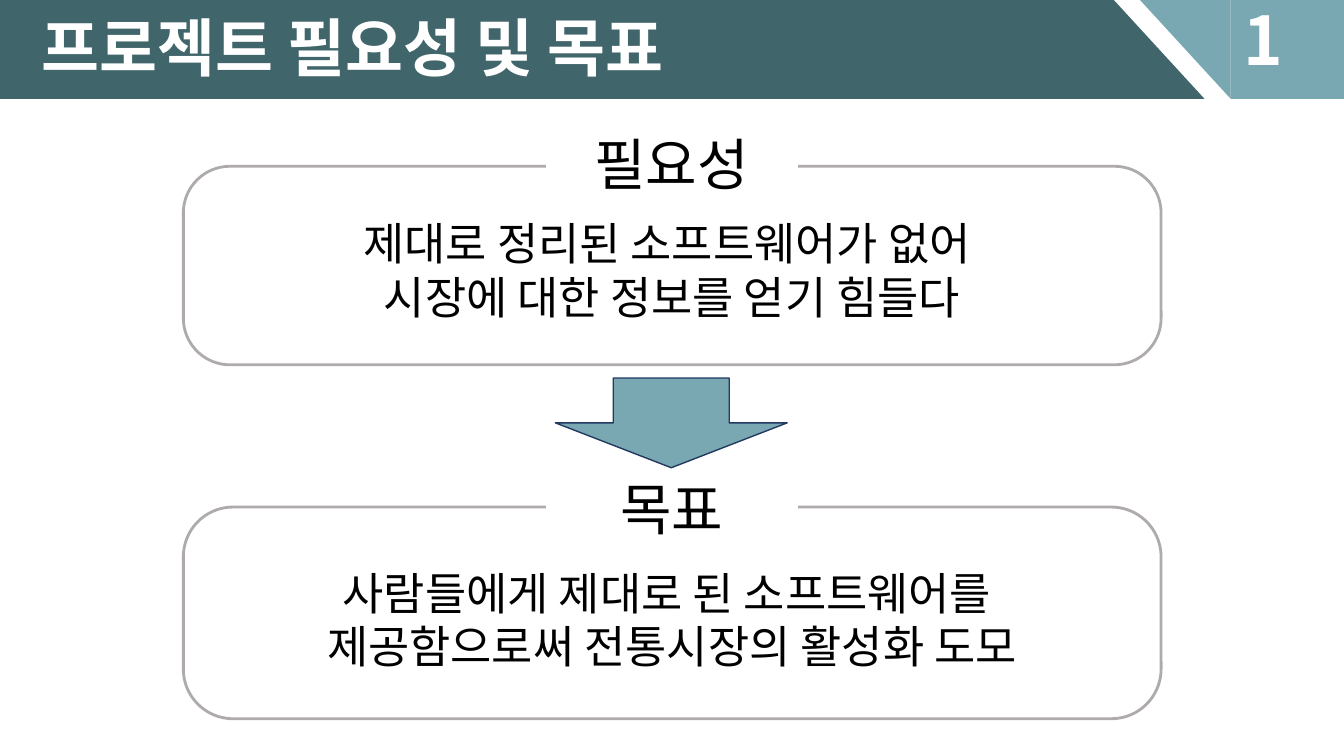
from dataclasses import dataclass

from lxml.etree import SubElement
from pptx import Presentation
from pptx.dml.color import RGBColor
from pptx.enum.shapes import MSO_SHAPE
from pptx.enum.text import MSO_ANCHOR, MSO_AUTO_SIZE, PP_ALIGN
from pptx.oxml.ns import qn
from pptx.shapes.autoshape import Shape
from pptx.slide import Slide
from pptx.util import Pt

FONT = "Noto Sans CJK KR"
DARK_TEAL = "40656B"
LIGHT_TEAL = "79A8B2"
WHITE = "FFFFFF"
BLACK = "000000"
HEADER_HEIGHT = 70.6
SLANT_WIDTH = 64.8


@dataclass(frozen=True)
class Area:
    left: float
    top: float
    width: float
    height: float


@dataclass(frozen=True)
class Figure:
    kind: MSO_SHAPE
    area: Area
    fill: str = ""
    line: str = ""
    line_width: float = 1
    adjustments: tuple[float, ...] = ()
    rotation: float = 0


@dataclass(frozen=True)
class Label:
    text: str
    size: float
    color: str = BLACK
    bold: bool = False
    align: PP_ALIGN = PP_ALIGN.CENTER
    anchor: MSO_ANCHOR = MSO_ANCHOR.TOP
    wrap: bool = True


@dataclass(frozen=True)
class Section:
    heading: str
    body: str
    frame_top: float
    frame_height: float
    heading_top: float
    body_top: float


HEADER = [
    Figure(MSO_SHAPE.ISOSCELES_TRIANGLE, Area(795.6, 0, SLANT_WIDTH, HEADER_HEIGHT),
           DARK_TEAL, adjustments=(0,)),
    Figure(MSO_SHAPE.RECTANGLE, Area(0, 0, 795.6, HEADER_HEIGHT), DARK_TEAL),
    Figure(MSO_SHAPE.RECTANGLE, Area(879.1, 0, 80.9, HEADER_HEIGHT), LIGHT_TEAL),
    Figure(MSO_SHAPE.ISOSCELES_TRIANGLE, Area(879.1 - SLANT_WIDTH, 0, SLANT_WIDTH, HEADER_HEIGHT),
           LIGHT_TEAL, adjustments=(0,), rotation=180),
]
ARROW = Figure(MSO_SHAPE.DOWN_ARROW, Area(396.7, 270, 165.6, 64.1), LIGHT_TEAL,
               "223961", 1, (0.5, 0.5))
SECTIONS = [
    Section("필요성", "제대로 정리된 소프트웨어가 없어 \n시장에 대한 정보를 얻기 힘들다",
            118.8, 141.8, 88.6, 150.5),
    Section("목표", "사람들에게 제대로 된 소프트웨어를 \n제공함으로써 전통시장의 활성화 도모",
            362.2, 151.2, 335.5, 400.3),
]


def color_of(code: str) -> RGBColor:
    return RGBColor.from_string(code)


def write_label(shape: Shape, label: Label) -> None:
    frame = shape.text_frame
    frame.text = label.text
    frame.word_wrap = label.wrap
    frame.auto_size = MSO_AUTO_SIZE.SHAPE_TO_FIT_TEXT
    frame.vertical_anchor = label.anchor
    for para in frame.paragraphs:
        para.alignment = label.align
        for span in para.runs:
            span.font.size = Pt(label.size)
            span.font.bold = label.bold
            span.font.color.rgb = color_of(label.color)
            span.font.name = FONT
            SubElement(span.font._element, qn("a:ea"), typeface=FONT)


def draw_figure(page: Slide, figure: Figure) -> Shape:
    area = figure.area
    shape = page.shapes.add_shape(figure.kind, Pt(area.left), Pt(area.top),
                                  Pt(area.width), Pt(area.height))
    shape.shadow.inherit = False
    shape.rotation = figure.rotation
    for index, value in enumerate(figure.adjustments):
        shape.adjustments[index] = value
    if figure.fill:
        shape.fill.solid()
        shape.fill.fore_color.rgb = color_of(figure.fill)
    else:
        shape.fill.background()
    if figure.line:
        shape.line.color.rgb = color_of(figure.line)
        shape.line.width = Pt(figure.line_width)
    else:
        shape.line.fill.background()
    return shape


def draw_text(page: Slide, area: Area, label: Label) -> None:
    box = page.shapes.add_textbox(Pt(area.left), Pt(area.top), Pt(area.width), Pt(area.height))
    write_label(box, label)


def draw_section(page: Slide, section: Section) -> None:
    draw_figure(page, Figure(MSO_SHAPE.ROUNDED_RECTANGLE,
                             Area(131, section.frame_top, 698.4, section.frame_height),
                             line="AFABAB", line_width=2, adjustments=(0.235,)))
    heading = draw_figure(page, Figure(MSO_SHAPE.RECTANGLE,
                                       Area(390.2, section.heading_top, 179.3, 55.4),
                                       WHITE, WHITE, 0.75))
    write_label(heading, Label(section.heading, 40, anchor=MSO_ANCHOR.MIDDLE))
    draw_text(page, Area(93.6, section.body_top, 773.3, 84.2), Label(section.body, 32))


def main() -> None:
    deck = Presentation()
    deck.slide_width, deck.slide_height = Pt(960), Pt(540)
    page = deck.slides.add_slide(deck.slide_layouts[6])
    for figure in HEADER:
        draw_figure(page, figure)
    draw_text(page, Area(881.3, -5, 41, 65.5), Label("1", 48, WHITE, True))
    draw_text(page, Area(22.3, 2.2, 491.8, 60.5),
              Label("프로젝트 필요성 및 목표", 45, WHITE, True, PP_ALIGN.LEFT, wrap=False))
    draw_figure(page, ARROW)
    for section in SECTIONS:
        draw_section(page, section)
    deck.save("out.pptx")


if __name__ == "__main__":
    main()
